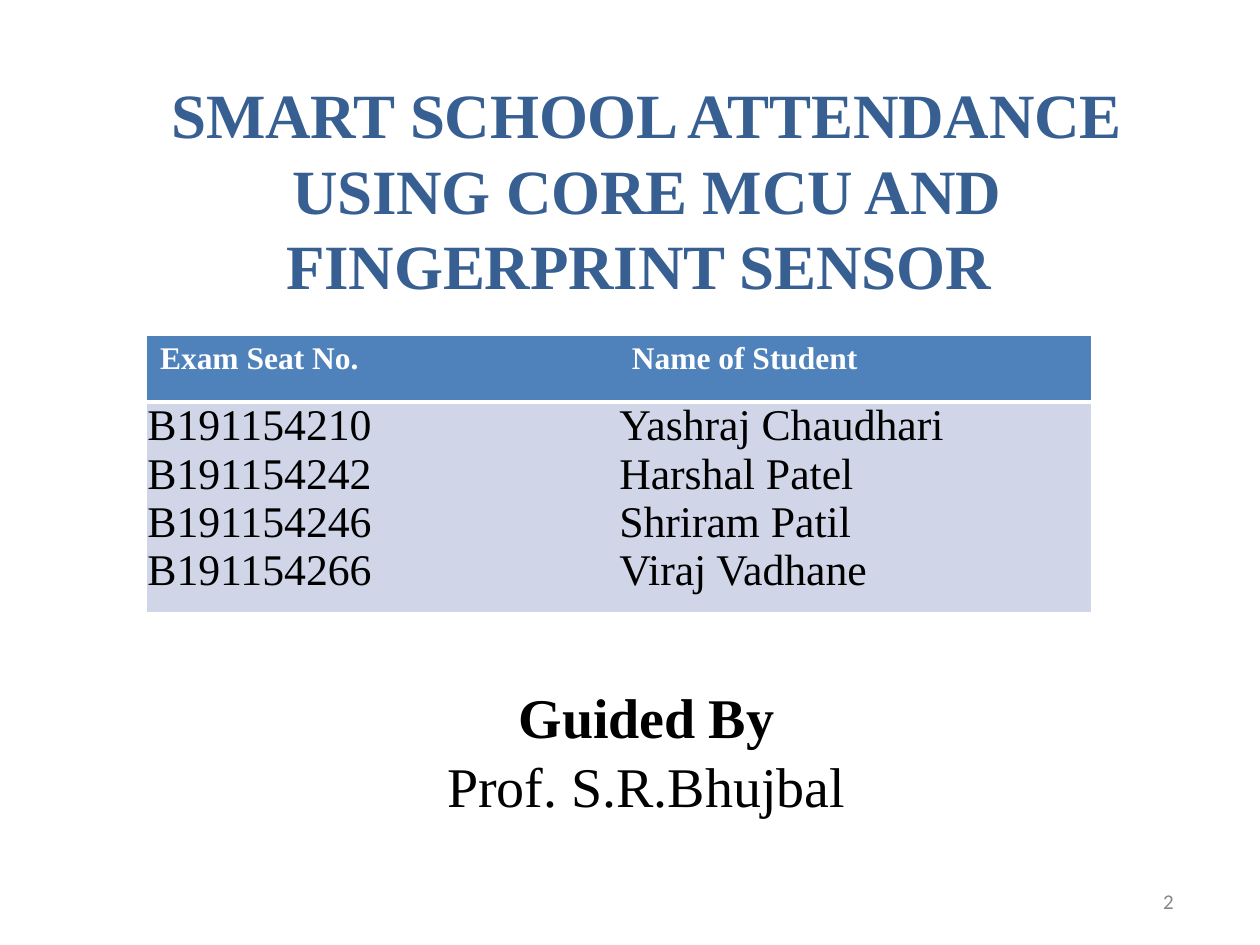
from dataclasses import dataclass

from lxml import etree
from pptx import Presentation
from pptx.dml.color import RGBColor
from pptx.enum.text import MSO_ANCHOR, MSO_AUTO_SIZE, PP_ALIGN
from pptx.oxml.ns import qn
from pptx.util import Inches, Pt

CENTER = PP_ALIGN.CENTER
LEFT = PP_ALIGN.LEFT
TOP = MSO_ANCHOR.TOP
NO_AUTOFIT = MSO_AUTO_SIZE.NONE
PLAIN_TABLE = "{2D5ABB26-0587-4C30-8999-92F81FD0307C}"


@dataclass(frozen=True)
class Theme:
    serif: str = "Times New Roman"
    sans: str = "Calibri"
    title_color: str = "375F92"
    ink: str = "000000"
    white: str = "FFFFFF"
    muted: str = "878787"
    header_fill: str = "4F81BB"
    body_fill: str = "D0D6E8"
    title_size: int = 36
    guide_size: int = 32
    body_size: int = 25
    header_size: int = 18
    page_size: int = 12
    rule_width: int = 3


class SlideBuilder:
    def __init__(self, slide, theme):
        self.slide = slide
        self.theme = theme

    def paragraph(self, frame, text, size, color, bold=False, font=None,
                  align=LEFT, before=0, line=None, indent=0.0, tracking=0):
        paragraph = frame.paragraphs[0]
        if paragraph.runs:
            paragraph = frame.add_paragraph()
        paragraph.alignment = align
        paragraph.space_before = Pt(before)
        if line:
            paragraph.line_spacing = Pt(line)
        properties = paragraph._p.get_or_add_pPr()
        properties.set("marL", str(Inches(indent)))
        properties.set("indent", "0")
        run = paragraph.add_run()
        run.text = text
        run.font.name = font or self.theme.serif
        run.font.size = Pt(size)
        run.font.bold = bold
        run.font.color.rgb = RGBColor.from_string(color)
        if tracking:
            run._r.get_or_add_rPr().set("spc", str(tracking))

    def frame(self, shape, top_inset=0.0, side_inset=0.0):
        frame = shape.text_frame
        frame.word_wrap = True
        frame.auto_size = NO_AUTOFIT
        frame.vertical_anchor = TOP
        frame.margin_left = frame.margin_right = Inches(side_inset)
        frame.margin_top, frame.margin_bottom = Inches(top_inset), 0
        return frame

    def title(self, text, left, top, width, height):
        heading = self.slide.shapes.title
        heading.left, heading.top = Inches(left), Inches(top)
        heading.width, heading.height = Inches(width), Inches(height)
        frame = self.frame(heading, top_inset=0.01, side_inset=0.1)
        self.paragraph(frame, text, self.theme.title_size,
                       self.theme.title_color, bold=True, align=CENTER,
                       before=1, line=43.2, indent=0.01, tracking=-10)

    def text_box(self, left, top, width, height, top_inset=0.0):
        box = self.slide.shapes.add_textbox(
            Inches(left), Inches(top), Inches(width), Inches(height))
        return self.frame(box, top_inset)

    def cell(self, cell, fill, top_inset=0.0):
        cell.margin_left = cell.margin_right = cell.margin_bottom = 0
        cell.margin_top = Inches(top_inset)
        cell.fill.solid()
        cell.fill.fore_color.rgb = RGBColor.from_string(fill)
        return cell.text_frame

    def rule(self, cell, side):
        line = etree.Element(qn(f"a:{side}"), w=str(Pt(self.theme.rule_width)))
        fill = etree.SubElement(line, qn("a:solidFill"))
        etree.SubElement(fill, qn("a:srgbClr"), val=self.theme.white)
        cell._tc.get_or_add_tcPr().insert(0, line)

    def table(self, columns, left, top, width, row_heights):
        theme = self.theme
        table = self.slide.shapes.add_table(
            len(row_heights), len(columns), Inches(left), Inches(top),
            Inches(width), Inches(sum(row_heights))).table
        table._tbl.tblPr.find(qn("a:tableStyleId")).text = PLAIN_TABLE
        for row, height in zip(table.rows, row_heights):
            row.height = Inches(height)
        for index, (heading, entries) in enumerate(columns.items()):
            table.columns[index].width = Inches(width / len(columns))
            header, body = table.cell(0, index), table.cell(1, index)
            self.paragraph(self.cell(header, theme.header_fill, 0.04), heading,
                           theme.header_size, theme.white, bold=True,
                           before=2.6, indent=0.1)
            self.rule(header, "lnB")
            body_frame = self.cell(body, theme.body_fill)
            for entry in entries:
                self.paragraph(body_frame, entry, theme.body_size, theme.ink)
            self.rule(body, "lnT")


def main():
    theme = Theme()
    deck = Presentation()
    deck.slide_width, deck.slide_height = Inches(10), Inches(7.5)
    builder = SlideBuilder(deck.slides.add_slide(deck.slide_layouts[5]), theme)

    page_number = builder.text_box(9.19, 7.08, 0.25, 0.19)
    builder.paragraph(page_number, "2", theme.page_size, theme.muted,
                      font=theme.sans, line=12.4, indent=0.04)

    builder.title("SMART SCHOOL ATTENDANCE USING CORE MCU AND FINGERPRINT SENSOR ",
                  0.5, 0.59, 9.25, 1.83)

    students = {
        "Exam Seat No.": ["B191154210", "B191154242", "B191154246", "B191154266"],
        "Name of Student": ["Yashraj Chaudhari", "Harshal Patel",
                            "Shriram Patil", "Viraj Vadhane"],
    }
    builder.table(students, 1.17, 2.67, 7.49, [0.52, 1.67])

    guide = builder.text_box(0.5, 5.41, 9.25, 1.1, top_inset=0.01)
    for text, bold in [("Guided By", True), ("Prof. S.R.Bhujbal", False)]:
        builder.paragraph(guide, text, theme.guide_size, theme.ink, bold=bold,
                          align=CENTER, before=0.9, line=38.4, indent=0.01,
                          tracking=-10 if bold else 0)

    deck.save("out.pptx")


if __name__ == "__main__":
    main()
